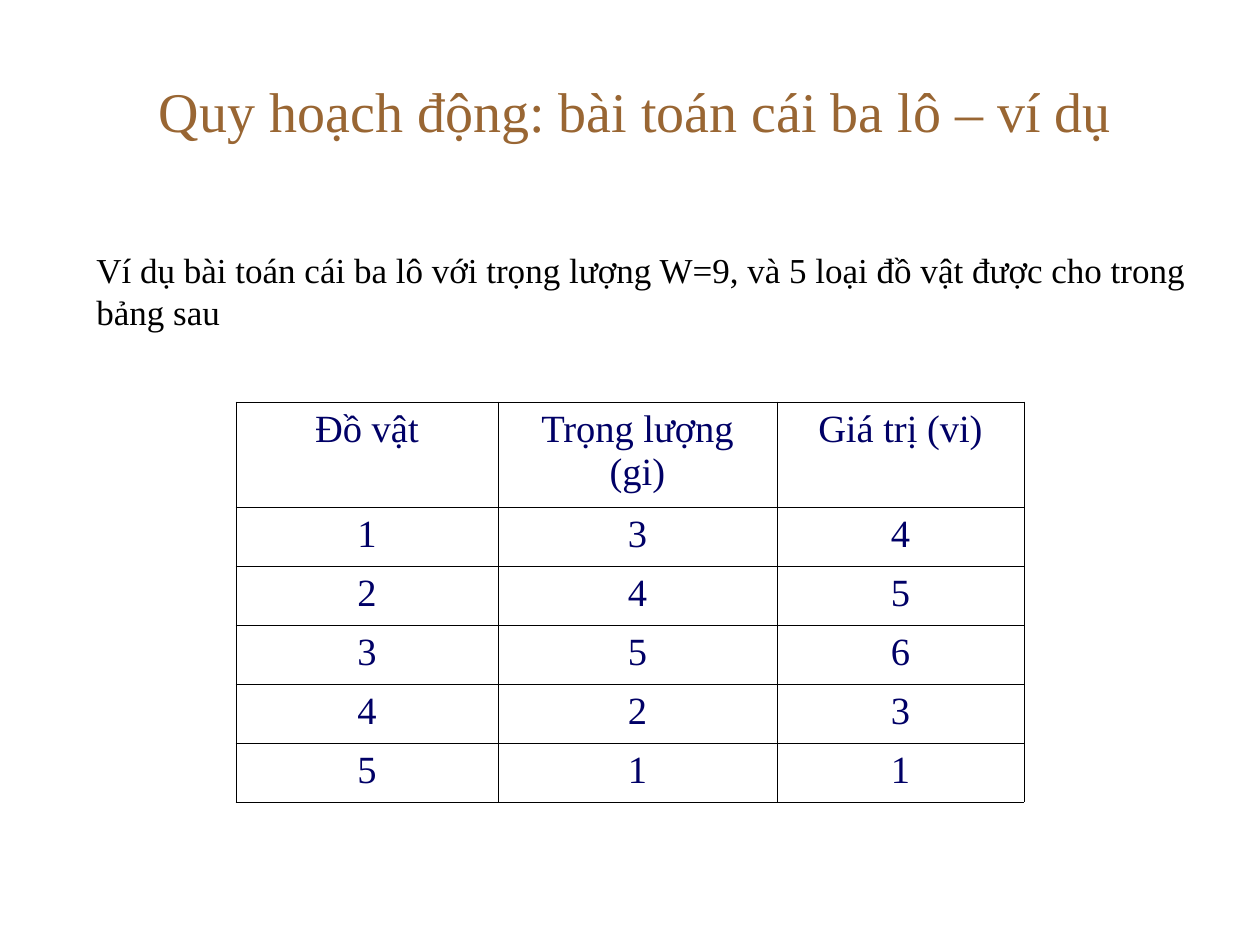
from lxml import etree
from pptx import Presentation
from pptx.dml.color import RGBColor
from pptx.enum.text import MSO_ANCHOR, PP_ALIGN
from pptx.oxml.ns import qn
from pptx.util import Emu, Pt

LEFT, CENTER = PP_ALIGN.LEFT, PP_ALIGN.CENTER
TOP, MIDDLE = MSO_ANCHOR.TOP, MSO_ANCHOR.MIDDLE
PX_PER_INCH = 126
FONT = "Times New Roman"
BROWN, BLACK, NAVY = "996633", "000000", "000066"
BORDER_WIDTH = Pt(0.45)


def px(length):
    return Emu(round(length * 914400 / PX_PER_INCH))


def color(value):
    return RGBColor.from_string(value)


class SlideBuilder:
    """Holds the slide and the text and table style used on it."""

    def __init__(self, slide):
        self.slide = slide

    def style(self, paragraph, size, text_color, alignment):
        paragraph.alignment = alignment
        paragraph.font.name = FONT
        paragraph.font.size = Pt(size)
        paragraph.font.color.rgb = color(text_color)

    def text(self, box, content, size, text_color, alignment=LEFT, anchor=TOP):
        shape = self.slide.shapes.add_textbox(*map(px, box))
        frame = shape.text_frame
        frame.word_wrap = True
        frame.vertical_anchor = anchor
        frame.text = content
        self.style(frame.paragraphs[0], size, text_color, alignment)

    def border(self, cell):
        properties = cell._tc.get_or_add_tcPr()
        for side in ("a:lnL", "a:lnR", "a:lnT", "a:lnB"):
            line = etree.SubElement(properties, qn(side), w=str(BORDER_WIDTH))
            fill = etree.SubElement(line, qn("a:solidFill"))
            etree.SubElement(fill, qn("a:srgbClr"), val=BLACK)

    def table(self, left, top, widths, heights, rows, size, text_color):
        box = (left, top, sum(widths), sum(heights))
        table = self.slide.shapes.add_table(len(rows), len(widths), *map(px, box)).table
        table.first_row = table.horz_banding = False
        for column, width in zip(table.columns, widths):
            column.width = px(width)
        for row, height, values in zip(table.rows, heights, rows):
            row.height = px(height)
            for cell, value in zip(row.cells, values):
                cell.text = str(value)
                self.style(cell.text_frame.paragraphs[0], size, text_color, CENTER)
                self.border(cell)
                cell.fill.background()


def main():
    presentation = Presentation()
    presentation.slide_width, presentation.slide_height = px(1260), px(945)
    builder = SlideBuilder(presentation.slides.add_slide(presentation.slide_layouts[6]))

    builder.text((116, 32, 1039, 157), "Quy hoạch động: bài toán cái ba lô – ví dụ",
                 32, BROWN, CENTER, MIDDLE)
    builder.text((84, 242, 1134, 139),
                 "Ví dụ bài toán cái ba lô với trọng lượng W=9, "
                 "và 5 loại đồ vật được cho trong bảng sau", 20, BLACK)

    items = [
        ("Đồ vật", "Trọng lượng (gi)", "Giá trị (vi)"),
        (1, 3, 4),
        (2, 4, 5),
        (3, 5, 6),
        (4, 2, 3),
        (5, 1, 1),
    ]
    builder.table(236, 402, (262, 279, 247), [105] + [59] * 5, items, 22, NAVY)
    presentation.save("out.pptx")


if __name__ == "__main__":
    main()
